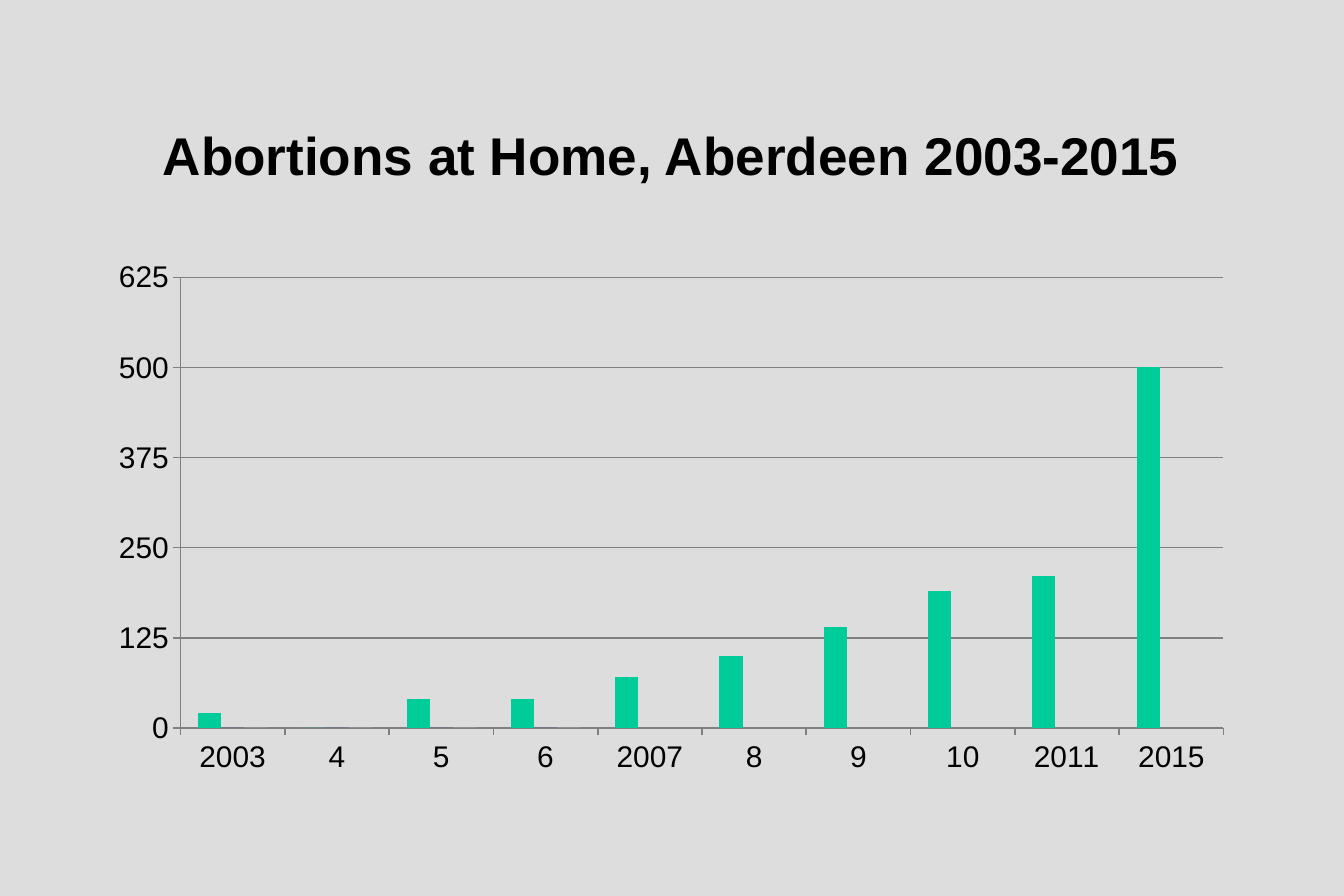
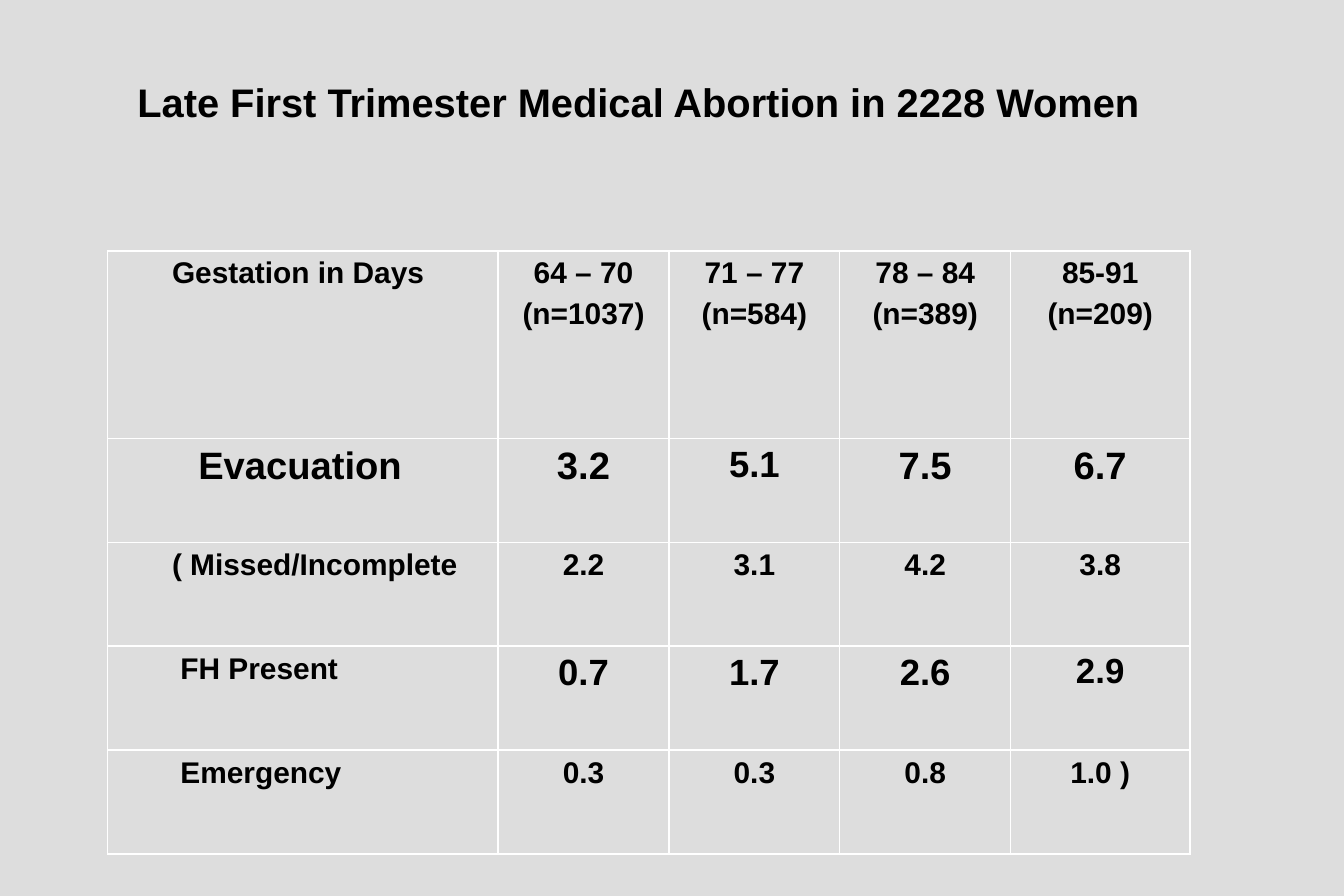
"""Build two slides on medical abortion: a yearly column chart and an outcome table."""
from lxml import etree
from pptx import Presentation
from pptx.chart.data import CategoryChartData
from pptx.dml.color import RGBColor
from pptx.enum.chart import XL_CHART_TYPE as ChartType, XL_TICK_LABEL_POSITION as LabelPos, XL_TICK_MARK as Tick
from pptx.enum.text import MSO_ANCHOR as Anchor, PP_ALIGN as Align
from pptx.oxml.ns import qn
from pptx.util import Inches, Pt

FONT = "Arial"
COLORS = {"paper": "DDDDDD", "ink": "000000", "rule": "808080", "border": "FFFFFF",
          "green": "00CC99", "blue": "3333CC", "white": "FFFFFF"}
INSET = Inches(0.05)

YEARS = ["2003", "4", "5", "6", "2007", "8", "9", "10", "2011", "2015"]
SERIES = [
    ("Series 1", [20, 0, 40, 40, 70, 100, 140, 190, 210, 500], "green"),
    ("Series 2", [0] * 4 + [None] * 6, "blue"),
    ("Series 3", [0] * 4 + [None] * 6, "white"),
]
PLOT_AREA = {"x": 0.072, "y": 0.062, "w": 0.923, "h": 0.829}

COLUMN_WIDTHS = [3.27, 1.43, 1.43, 1.43, 1.5]
ROW_HEIGHTS = [1.57, 0.87, 0.87, 0.87, 0.87]
OUTCOMES = [
    ("Gestation in Days", 0.54, ["64 – 70\n(n=1037)", "71 – 77\n(n=584)", "78 – 84\n(n=389)", "85-91\n(n=209)"],
     [18] * 5),
    ("Evacuation", 0.76, ["3.2", "5.1", "7.5", "6.7"], [23, 23, 22, 23, 23]),
    ("( Missed/Incomplete", 0.54, ["2.2", "3.1", "4.2", "3.8"], [18] * 5),
    ("FH Present", 0.61, ["0.7", "1.7", "2.6", "2.9"], [18, 22, 22, 22, 21]),
    ("Emergency", 0.61, ["0.3", "0.3", "0.8", "1.0 )"], [18] * 5),
]


def color(name):
    return RGBColor.from_string(COLORS[name])


def style_font(font, size, bold=False):
    font.name, font.size, font.bold = FONT, Pt(size), bold
    font.color.rgb = color("ink")


def write(frame, text, size=18, align=Align.LEFT, before=0):
    frame.word_wrap = True
    for index, line in enumerate(text.split("\n")):
        paragraph = frame.paragraphs[0] if index == 0 else frame.add_paragraph()
        paragraph.alignment = align
        paragraph.space_before = Pt(before)
        run = paragraph.add_run()
        run.text = line
        style_font(run.font, size, bold=True)


def add_slide(deck):
    slide = deck.slides.add_slide(deck.slide_layouts[6])
    slide.background.fill.solid()
    slide.background.fill.fore_color.rgb = color("paper")
    return slide


def add_title(slide, text, box, anchor=Anchor.TOP, **text_format):
    frame = slide.shapes.add_textbox(*map(Inches, box)).text_frame
    frame.margin_left = frame.margin_right = frame.margin_top = frame.margin_bottom = INSET
    frame.vertical_anchor = anchor
    write(frame, text, **text_format)


def style_line(line):
    line.color.rgb = color("rule")
    line.width = Pt(1)


def place_plot(chart):
    plot_area = chart._chartSpace.chart.plotArea
    for old_layout in plot_area.findall(qn("c:layout")):
        plot_area.remove(old_layout)
    layout = etree.Element(qn("c:layout"))
    manual = etree.SubElement(layout, qn("c:manualLayout"))
    settings = [("layoutTarget", "inner"), ("xMode", "edge"), ("yMode", "edge"), *PLOT_AREA.items()]
    for tag, value in settings:
        etree.SubElement(manual, qn(f"c:{tag}")).set("val", str(value))
    plot_area.insert(0, layout)


def add_year_chart(slide):
    data = CategoryChartData()
    data.categories = YEARS
    for name, values, _ in SERIES:
        data.add_series(name, values)
    box = map(Inches, (0.83, 2.04, 9.46, 4.55))
    chart = slide.shapes.add_chart(ChartType.COLUMN_CLUSTERED, *box, data).chart
    chart.has_legend = chart.has_title = False
    style_font(chart.font, 10)
    plot = chart.plots[0]
    plot.gap_width, plot.overlap, plot.vary_by_categories = 150, 0, False
    for series, (_, _, fill_name) in zip(plot.series, SERIES):
        series.format.fill.solid()
        series.format.fill.fore_color.rgb = color(fill_name)
    years, counts = chart.category_axis, chart.value_axis
    for axis in (years, counts):
        style_font(axis.tick_labels.font, 18)
        style_line(axis.format.line)
        axis.major_tick_mark, axis.minor_tick_mark = Tick.OUTSIDE, Tick.NONE
    years.tick_label_position = LabelPos.LOW
    counts.minimum_scale, counts.maximum_scale, counts.major_unit = 0, 625, 125
    counts.tick_labels.number_format = "0"
    counts.tick_labels.number_format_is_linked = False
    counts.has_major_gridlines = True
    style_line(counts.major_gridlines.format.line)
    place_plot(chart)


def add_borders(cell):
    properties = cell._tc.get_or_add_tcPr()
    for side in ("lnL", "lnR", "lnT", "lnB"):
        border = etree.SubElement(properties, qn(f"a:{side}"), w=str(Pt(1)))
        fill = etree.SubElement(border, qn("a:solidFill"))
        etree.SubElement(fill, qn("a:srgbClr"), val=COLORS["border"])


def add_outcome_table(slide):
    box = map(Inches, (0.9, 2.1, sum(COLUMN_WIDTHS), sum(ROW_HEIGHTS)))
    table = slide.shapes.add_table(len(OUTCOMES), len(COLUMN_WIDTHS), *box).table
    table.first_row = table.horz_banding = False
    for column, width in zip(table.columns, COLUMN_WIDTHS):
        column.width = Inches(width)
    for row, height, (label, indent, values, sizes) in zip(table.rows, ROW_HEIGHTS, OUTCOMES):
        row.height = Inches(height)
        for index, (cell, text, size) in enumerate(zip(row.cells, [label, *values], sizes)):
            add_borders(cell)
            cell.fill.background()
            cell.margin_left = cell.margin_right = cell.margin_top = cell.margin_bottom = INSET
            if index == 0:
                cell.margin_left = Inches(indent)
            align = Align.CENTER if index else Align.LEFT
            write(cell.text_frame, text, size=size, align=align, before=4)


def main():
    deck = Presentation()
    deck.slide_width, deck.slide_height = Inches(11.25), Inches(7.5)

    home = add_slide(deck)
    add_title(home, "Abortions at Home, Aberdeen 2003-2015", (0.84, 0.67, 9.56, 1.25),
              anchor=Anchor.MIDDLE, size=32, align=Align.CENTER)
    add_year_chart(home)

    trimester = add_slide(deck)
    add_title(trimester, "Late First Trimester Medical Abortion in 2228 Women", (1.1, 0.6, 8.96, 0.48), size=24)
    add_outcome_table(trimester)

    deck.save("out.pptx")


if __name__ == "__main__":
    main()
